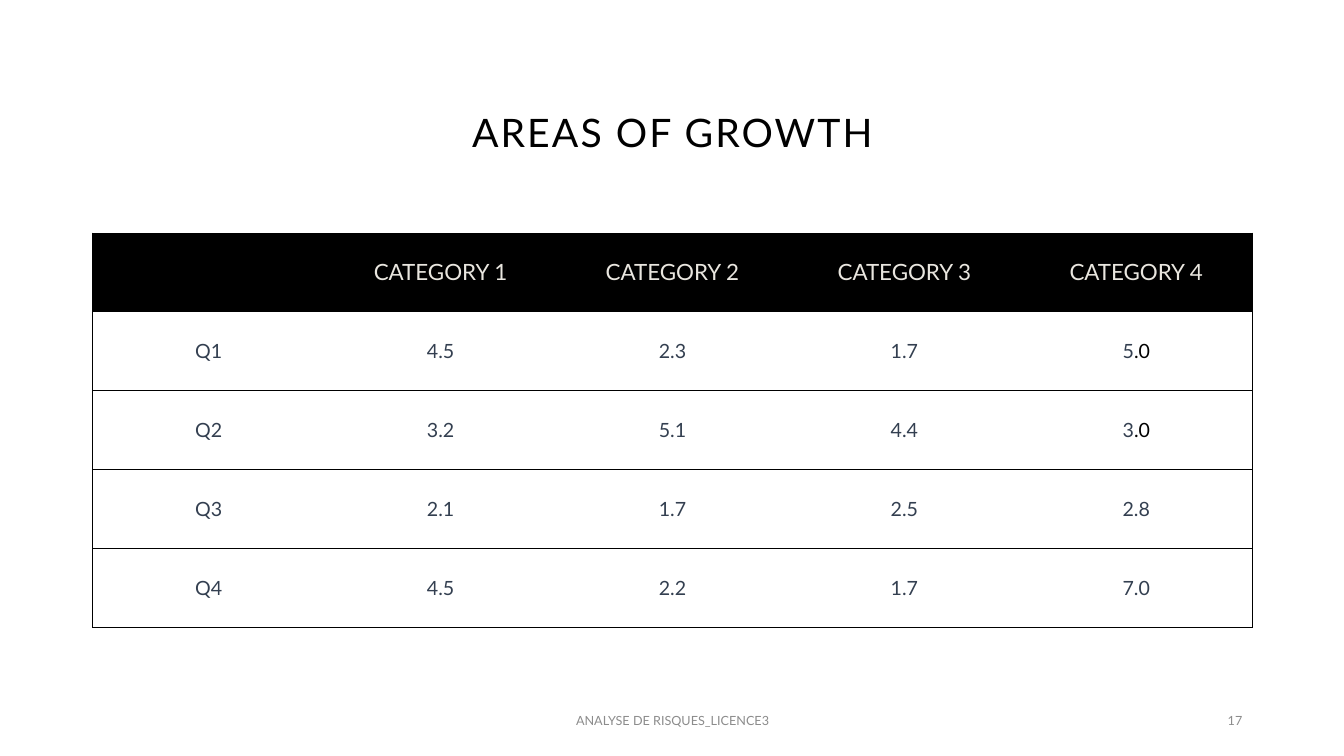
from lxml import etree
from pptx import Presentation
from pptx import util as u
from pptx.dml.color import RGBColor
from pptx.enum import text
from pptx.oxml import ns

HUES = {"ink": "000000", "paper": "FFFFFF", "cream": "E9E6DF",
        "slate": "333F50", "grey": "8C8C8C"}
ROWS = [
    ["", "CATEGORY 1", "CATEGORY 2", "CATEGORY 3", "CATEGORY 4"],
    ["Q1", "4.5", "2.3", "1.7", "5|.0"],
    ["Q2", "3.2", "5.1", "4.4", "3|.0"],
    ["Q3", "2.1", "1.7", "2.5", "2.8"],
    ["Q4", "4.5", "2.2", "1.7", "7.0"],
]


class Deck:
    face = "Lato"
    unit = 0.5
    edge = 0.92

    def __init__(self):
        self.show = Presentation()
        self.show.slide_width = u.Inches(13.33)
        self.show.slide_height = u.Inches(7.5)
        self.page = self.show.slides.add_slide(self.show.slide_layouts[5])

    def box(self, col, row, wide, high):
        return (u.Inches(self.edge + col * self.unit),
                *(u.Inches(n * self.unit) for n in (row, wide, high)))

    def hue(self, name):
        return RGBColor.from_string(HUES[name])

    def style(self, para, size, hue, align="CENTER"):
        para.alignment = text.PP_ALIGN[align]
        font = para.font
        font.name = self.face
        font.size = u.Pt(size)
        font.color.rgb = self.hue(hue)

    def title(self, words, *place):
        head = self.page.shapes.title
        head.left, head.top, head.width, head.height = self.box(*place)
        frame = head.text_frame
        frame.text = words
        frame.auto_size = text.MSO_AUTO_SIZE.NONE
        frame.vertical_anchor = text.MSO_ANCHOR.BOTTOM
        para = frame.paragraphs[0]
        para.line_spacing = 0.9
        self.style(para, 28, "ink")
        para.runs[0].font._element.set("spc", "150")

    def note(self, words, align, *place):
        frame = self.page.shapes.add_textbox(*self.box(*place)).text_frame
        frame.word_wrap = True
        frame.vertical_anchor = text.MSO_ANCHOR.MIDDLE
        frame.text = words
        self.style(frame.paragraphs[0], 9, "grey", align)

    def rule(self, cell, sides):
        props = cell._tc.get_or_add_tcPr()
        for spot, side in enumerate("LRTB"):
            line = etree.Element(ns.qn(f"a:ln{side}"), w=str(u.Pt(0.5)))
            if side in sides:
                fill = etree.SubElement(line, ns.qn("a:solidFill"))
                etree.SubElement(fill, ns.qn("a:srgbClr"), val=HUES["ink"])
            else:
                etree.SubElement(line, ns.qn("a:noFill"))
            props.insert(spot, line)

    def cell(self, cell, words, top, sides):
        cell.fill.solid()
        cell.fill.fore_color.rgb = self.hue("ink" if top else "paper")
        cell.vertical_anchor = text.MSO_ANCHOR.MIDDLE
        para = cell.text_frame.paragraphs[0]
        self.style(para, 16 if top else 14, "cream" if top else "slate")
        for part, piece in enumerate(words.split("|") if words else []):
            run = para.add_run()
            run.text = piece
            if part:
                run.font.color.rgb = self.hue("ink")
        self.rule(cell, sides)

    def table(self, rows, *place):
        last = len(rows[0]) - 1
        grid = self.page.shapes.add_table(
            len(rows), last + 1, *self.box(*place)).table
        grid.first_row = grid.horz_banding = False
        for r, row in enumerate(rows):
            for c, words in enumerate(row):
                sides = "TB" + "L" * (c == 0) + "R" * (c == last)
                self.cell(grid.cell(r, c), words, r == 0, sides)


def main():
    deck = Deck()
    deck.title("AREAS OF GROWTH", 0, 0.3, 23, 2.9)
    deck.table(ROWS, 0, 4.62, 23, 7.82)
    deck.note("ANALYSE DE RISQUES_LICENCE3", "CENTER", 7, 13.9, 9, 0.8)
    deck.note("17", "RIGHT", 17, 13.9, 6, 0.8)
    deck.show.save("out.pptx")


if __name__ == "__main__":
    main()
